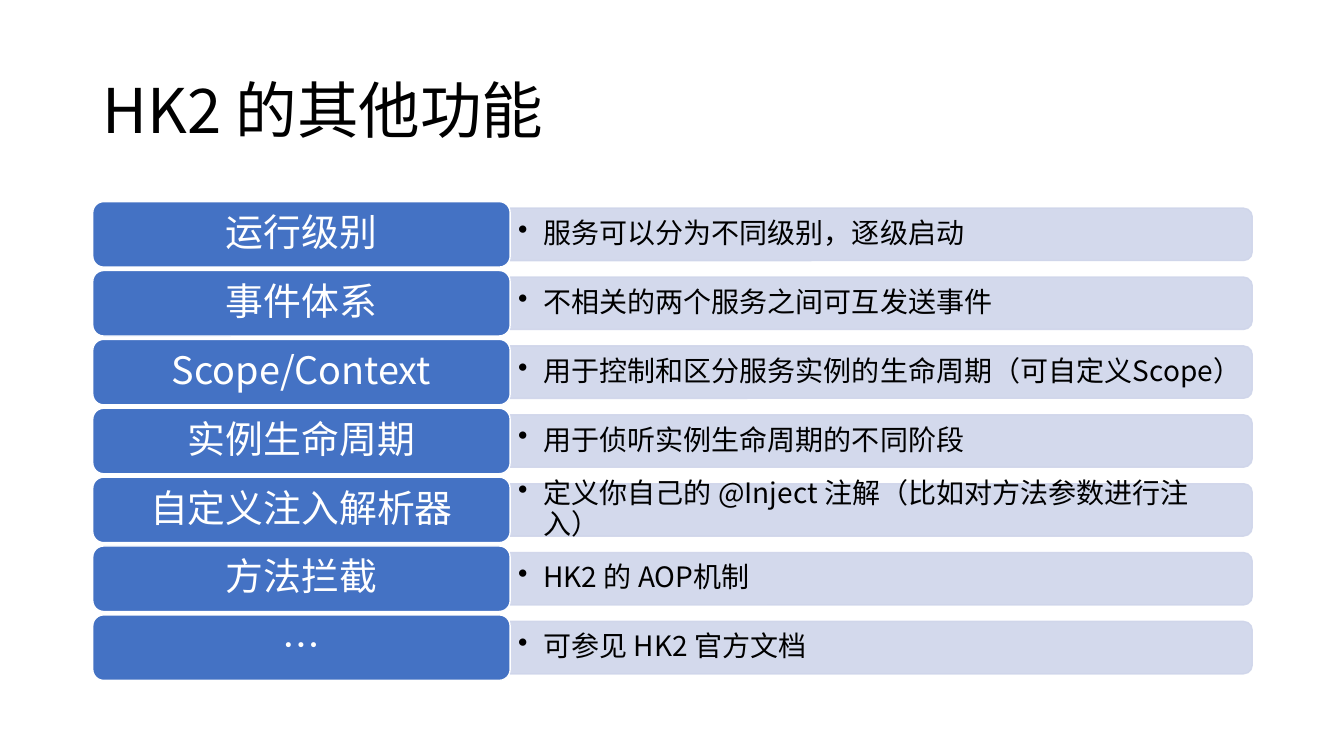
"""Build the slide on the further features of HK2."""
from dataclasses import dataclass

from pptx import Presentation
from pptx import util as u
from pptx.dml.color import RGBColor
from pptx.enum import shapes, text
from pptx.oxml import ns, xmlchemy


@dataclass(frozen=True)
class Theme:
    font: str = "Noto Sans CJK SC"
    ink: str = "000000"
    light: str = "FFFFFF"
    label: str = "4472C4"
    band: str = "CFD5EA"
    band_alpha: int = 90
    title_size: int = 44
    label_size: int = 27
    detail_size: int = 20


class FeatureSlide:
    def __init__(self, slide, theme):
        self.items = slide.shapes
        self.theme = theme

    def set_text(self, holder, words, size, color, align, insets=(0.1, 0.05), bullet=False):
        frame = holder.text_frame
        frame.word_wrap = True
        frame.vertical_anchor = text.MSO_ANCHOR.MIDDLE
        frame.margin_left = frame.margin_right = u.Inches(insets[0])
        frame.margin_top = frame.margin_bottom = u.Inches(insets[1])
        paragraph = frame.paragraphs[0]
        paragraph.text = words
        paragraph.alignment = align
        paragraph.line_spacing = 0.9
        if bullet:
            properties = paragraph._p.get_or_add_pPr()
            properties.set("marL", str(u.Inches(0.25)))
            properties.set("indent", str(u.Inches(-0.25)))
            self.add_xml(properties, "a:buChar", char="•")
        font = paragraph.font
        font.name = self.theme.font
        font.size = u.Pt(size)
        font.color.rgb = RGBColor.from_string(color)
        self.add_xml(font._element, "a:ea", typeface=self.theme.font)

    def add_xml(self, parent, tag, **attributes):
        child = xmlchemy.OxmlElement(tag)
        for name, value in attributes.items():
            child.set(name, value)
        parent.append(child)

    def box(self, preset, place, fill, line):
        shape = self.items.add_shape(preset, *map(u.Inches, place))
        shape.shadow.inherit = False
        shape.fill.solid()
        shape.fill.fore_color.rgb = RGBColor.from_string(fill)
        shape.line.color.rgb = RGBColor.from_string(line)
        shape.line.width = u.Pt(1)
        return shape

    def title(self, words, place):
        heading = self.items.add_textbox(*map(u.Inches, place))
        self.set_text(heading, words, self.theme.title_size, self.theme.ink,
                      text.PP_ALIGN.LEFT)

    def band(self, left, middle, length, thickness):
        place = (left + (length - thickness) / 2, middle - length / 2, thickness, length)
        color = self.theme.band
        band = self.box(shapes.MSO_SHAPE.ROUND_2_SAME_RECTANGLE, place, color, color)
        band.rotation = 90
        for tint in band._element.spPr.iter(ns.qn("a:srgbClr")):
            self.add_xml(tint, "a:alpha", val=str(self.theme.band_alpha * 1000))

    def detail(self, words, place):
        detail = self.items.add_textbox(*map(u.Inches, place))
        self.set_text(detail, words, self.theme.detail_size, self.theme.ink,
                      text.PP_ALIGN.LEFT, (0.08, 0.04), bullet=True)

    def label(self, words, place):
        label = self.box(shapes.MSO_SHAPE.ROUNDED_RECTANGLE, place,
                         self.theme.label, self.theme.light)
        self.set_text(label, words, self.theme.label_size, self.theme.light,
                      text.PP_ALIGN.CENTER, (0.11, 0.06))

    def feature(self, name, description, top):
        left, label_width, height = 0.92, 4.14, 0.65
        middle = top + height / 2
        detail_left, detail_height = left + label_width, 0.47
        self.band(detail_left, middle, 7.36, 0.52)
        self.detail(description, (detail_left, middle - detail_height / 2, 7.33, detail_height))
        self.label(name, (left, top, label_width, height))


FEATURES = [
    ("运行级别", "服务可以分为不同级别，逐级启动"),
    ("事件体系", "不相关的两个服务之间可互发送事件"),
    ("Scope/Context", "用于控制和区分服务实例的生命周期（可自定义Scope）"),
    ("实例生命周期", "用于侦听实例生命周期的不同阶段"),
    ("自定义注入解析器", "定义你自己的 @Inject 注解（比如对方法参数进行注入）"),
    ("方法拦截", "HK2 的 AOP机制"),
    ("…", "可参见 HK2 官方文档"),
]


def main():
    deck = Presentation()
    deck.slide_width, deck.slide_height = u.Inches(13.33), u.Inches(7.5)
    page = FeatureSlide(deck.slides.add_slide(deck.slide_layouts[6]), Theme())
    page.title("HK2 的其他功能", (0.92, 0.4, 11.5, 1.45))
    first_top, last_top = 2, 6.1
    pitch = (last_top - first_top) / (len(FEATURES) - 1)
    for row, (name, description) in enumerate(FEATURES):
        page.feature(name, description, first_top + row * pitch)
    deck.save("out.pptx")


if __name__ == "__main__":
    main()
